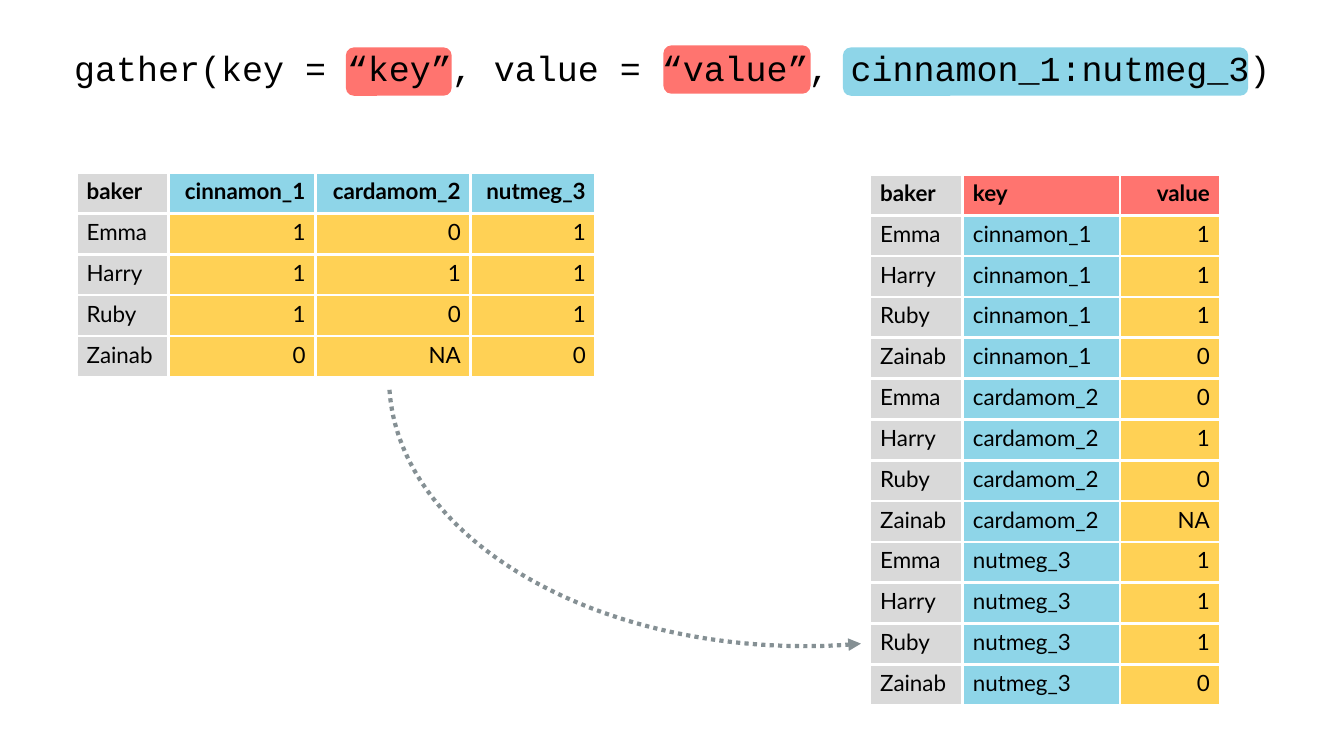
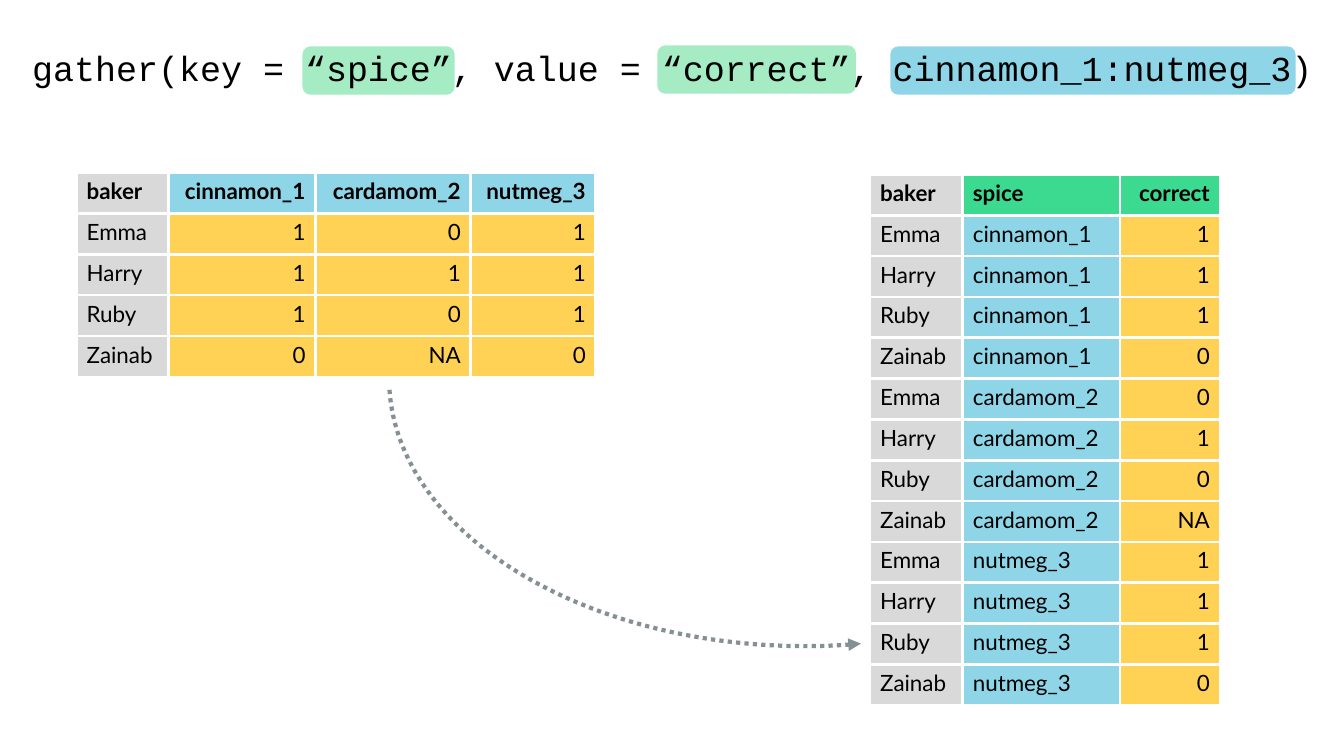
from dataclasses import dataclass

from lxml import etree
from pptx import Presentation
from pptx.dml.color import RGBColor
from pptx.enum.shapes import MSO_SHAPE
from pptx.enum.text import MSO_AUTO_SIZE, PP_ALIGN
from pptx.oxml.ns import qn
from pptx.slide import Slide
from pptx.table import _Cell
from pptx.util import Inches, Pt

ROUND, ARC = MSO_SHAPE.ROUNDED_RECTANGLE, MSO_SHAPE.ARC
LEFT, CENTER, RIGHT = PP_ALIGN.LEFT, PP_ALIGN.CENTER, PP_ALIGN.RIGHT
GROW = MSO_AUTO_SIZE.SHAPE_TO_FIT_TEXT

HUES = {
    "ink": "000000", "white": "FFFFFF", "gray": "D9D9D9", "arrow": "859094",
    "red": "FF746F", "blue": "8ED5E8", "gold": "FFD155",
    "green": "3BDA90", "mint": "A5ECC5",
}
CODE_FONT, GRID_FONT = "Courier New", "Lato"
WIDTH, HEIGHT = 13.33, 7.5
PILL_H = 0.48

BAKERS = ["Emma", "Harry", "Ruby", "Zainab"]
SPICES = {
    "cinnamon_1": ["1", "1", "1", "0"],
    "cardamom_2": ["0", "1", "0", "NA"],
    "nutmeg_3": ["1", "1", "1", "0"],
}


@dataclass
class Pill:
    """Highlight behind a part of the code line."""
    left: float
    top: float
    width: float
    hue: str


@dataclass
class Grid:
    """Table with one hue and alignment per column."""
    left: float
    top: float
    row_h: float
    widths: list[float]
    rows: list[list[str]]
    heads: list[str]
    hues: list[str]
    aligns: list[PP_ALIGN]


@dataclass
class Page:
    """What differs from slide to slide."""
    key: str
    value: str
    hue: str
    pills: list[Pill]


PAGES = [
    Page("key", "value", "red", [
        Pill(3.43, 0.47, 1.05, "red"),
        Pill(6.58, 0.45, 1.46, "red"),
        Pill(8.36, 0.47, 4.02, "blue"),
    ]),
    Page("spice", "correct", "green", [
        Pill(3, 0.46, 1.51, "mint"),
        Pill(6.52, 0.45, 1.97, "mint"),
        Pill(8.83, 0.46, 4.02, "blue"),
    ]),
]


def color(hue: str) -> RGBColor:
    """Look up a named hue."""
    return RGBColor.from_string(HUES[hue])


def wide_grid() -> Grid:
    """Table with one column per spice."""
    rows = [["baker", *SPICES]]
    rows += [list(row) for row in zip(BAKERS, *SPICES.values())]
    count = len(SPICES)
    return Grid(0.76, 1.71, 2.03 / len(rows), [0.91, 1.46, 1.54, 1.24], rows,
                ["gray"] + ["blue"] * count, ["gray"] + ["gold"] * count,
                [LEFT] + [RIGHT] * count)


def long_grid(page: Page) -> Grid:
    """Table with one row per baker and spice."""
    rows = [["baker", page.key, page.value]]
    rows += [[baker, spice, mark] for spice, marks in SPICES.items()
             for baker, mark in zip(BAKERS, marks)]
    return Grid(8.63, 1.73, 5.27 / len(rows), [0.92, 1.56, 0.99], rows,
                ["gray", page.hue, page.hue], ["gray", "blue", "gold"],
                [LEFT, LEFT, RIGHT])


def add_edges(cell: _Cell) -> None:
    """Give a cell white borders on all sides."""
    props = cell._tc.get_or_add_tcPr()
    for spot, side in enumerate(("lnL", "lnR", "lnT", "lnB")):
        edge = etree.Element(qn(f"a:{side}"), w=str(Pt(2.25)))
        fill = etree.SubElement(edge, qn("a:solidFill"))
        etree.SubElement(fill, qn("a:srgbClr"), val=HUES["white"])
        props.insert(spot, edge)


def draw_grid(slide: Slide, grid: Grid) -> None:
    """Draw a table with a bold head row."""
    count = len(grid.rows)
    table = slide.shapes.add_table(
        count, len(grid.widths), Inches(grid.left), Inches(grid.top),
        Inches(sum(grid.widths)), Inches(grid.row_h * count)).table
    table.horz_banding = False
    for column, width in zip(table.columns, grid.widths):
        column.width = Inches(width)
    for r, texts in enumerate(grid.rows):
        table.rows[r].height = Inches(grid.row_h)
        hues = grid.hues if r else grid.heads
        for c, text in enumerate(texts):
            cell = table.cell(r, c)
            cell.text = text
            cell.fill.solid()
            cell.fill.fore_color.rgb = color(hues[c])
            add_edges(cell)
            para = cell.text_frame.paragraphs[0]
            para.alignment = grid.aligns[c]
            font = para.font
            font.name, font.size, font.bold = GRID_FONT, Pt(16), r == 0
            font.color.rgb = color("ink")


def draw_pill(slide: Slide, pill: Pill) -> None:
    """Draw a rounded highlight."""
    shape = slide.shapes.add_shape(
        ROUND, Inches(pill.left), Inches(pill.top),
        Inches(pill.width), Inches(PILL_H))
    shape.shadow.inherit = False
    shape.fill.solid()
    shape.fill.fore_color.rgb = color(pill.hue)
    shape.line.fill.background()


def draw_code(slide: Slide, page: Page) -> None:
    """Write the call across the top."""
    box = slide.shapes.add_textbox(0, Inches(0.41), Inches(WIDTH), Inches(0.52))
    frame = box.text_frame
    frame.word_wrap = True
    frame.auto_size = GROW
    para = frame.paragraphs[0]
    para.text = (f"gather(key = “{page.key}”, value = “{page.value}”, "
                 "cinnamon_1:nutmeg_3)")
    para.alignment = CENTER
    para.font.name, para.font.size = CODE_FONT, Pt(25)
    para.font.color.rgb = color("ink")


def draw_arrow(slide: Slide) -> None:
    """Draw the dotted curve from the wide table to the long one."""
    arc = slide.shapes.add_shape(
        ARC, Inches(3.86), Inches(1.1), Inches(8.24), Inches(5.31))
    arc.adjustments[0], arc.adjustments[1] = 0.94, 61.2
    arc.shadow.inherit = False
    arc.fill.background()
    arc.line.color.rgb = color("arrow")
    arc.line.width = Pt(3)
    props = arc._element.spPr
    props.find(qn("a:xfrm")).set("flipH", "1")
    line = props.find(qn("a:ln"))
    etree.SubElement(line, qn("a:prstDash"), val="sysDot")
    etree.SubElement(line, qn("a:tailEnd"), type="triangle")


def main() -> None:
    """Build and save the deck."""
    deck = Presentation()
    deck.slide_width, deck.slide_height = Inches(WIDTH), Inches(HEIGHT)
    for page in PAGES:
        slide = deck.slides.add_slide(deck.slide_layouts[6])
        draw_grid(slide, long_grid(page))
        draw_arrow(slide)
        draw_grid(slide, wide_grid())
        for pill in page.pills:
            draw_pill(slide, pill)
        draw_code(slide, page)
    deck.save("out.pptx")


main()
